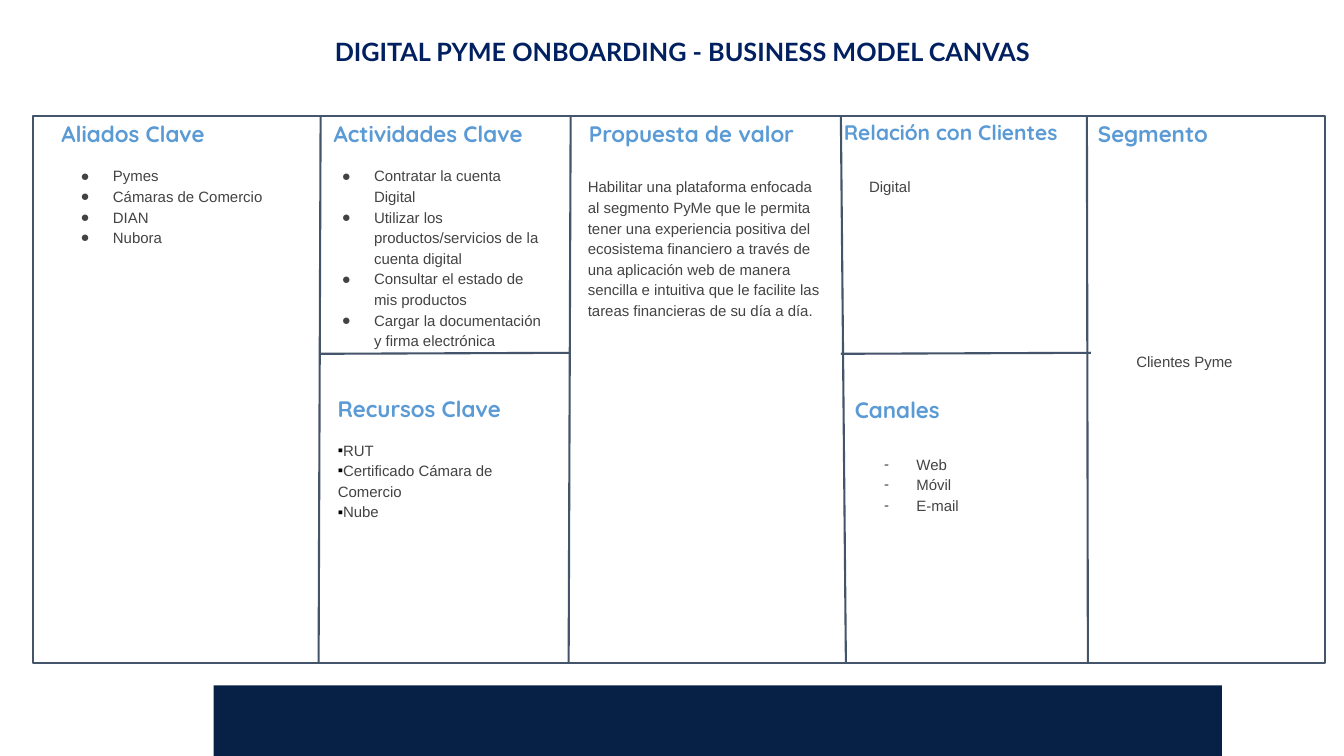
"""Build the business model canvas slide for the digital onboarding of small firms."""
from dataclasses import dataclass

from lxml.etree import SubElement
from pptx import Presentation
from pptx.dml.color import RGBColor
from pptx.enum.shapes import MSO_CONNECTOR, MSO_SHAPE
from pptx.enum.text import MSO_ANCHOR, MSO_AUTO_SIZE, PP_ALIGN
from pptx.oxml.ns import qn
from pptx.util import Inches, Pt


@dataclass(frozen=True)
class Theme:
    navy: str = "072146"
    title: str = "002060"
    heading: str = "5B9BD5"
    body: str = "434343"
    line: str = "44546A"
    black: str = "000000"
    title_font: str = "Lato"
    heading_font: str = "Quicksand"
    body_font: str = "Arial"
    title_size: float = 18
    heading_size: float = 16
    small_heading_size: float = 15
    body_size: float = 10.7
    line_width: float = 1.5
    line_spacing: float = 1.15


def write_text(p, text, *, font, size, color, bold=False, align=PP_ALIGN.LEFT, spacing=1.0):
    p.alignment = align
    p.line_spacing = spacing
    p.space_before = Pt(0)
    r = p.add_run()
    r.text = text
    r.font.name = font
    r.font.size = Pt(size)
    r.font.bold = bold
    r.font.color.rgb = RGBColor.from_string(color)


def add_bullet(p, char, color, indent, hanging):
    pPr = p._p.get_or_add_pPr()
    pPr.set("marL", str(Inches(indent)))
    pPr.set("indent", str(-Inches(hanging)))
    clr = SubElement(pPr, qn("a:buClr"))
    SubElement(clr, qn("a:srgbClr"), val=color)
    SubElement(pPr, qn("a:buFont"), typeface="Arial")
    SubElement(pPr, qn("a:buChar"), char=char)


class Canvas:
    def __init__(self, slide, theme):
        self.slide = slide
        self.theme = theme

    def place(self, sp, box, pad_x, pad_y):
        sp.left, sp.top, sp.width, sp.height = map(Inches, box)
        tf = sp.text_frame
        tf.word_wrap = True
        tf.auto_size = MSO_AUTO_SIZE.NONE
        tf.vertical_anchor = MSO_ANCHOR.TOP
        tf.margin_left = tf.margin_right = Inches(pad_x)
        tf.margin_top = tf.margin_bottom = Inches(pad_y)
        return tf

    def text_box(self, box, pad_x, pad_y):
        sp = self.slide.shapes.add_textbox(*map(Inches, box))
        return self.place(sp, box, pad_x, pad_y)

    def title(self, text, box):
        t = self.theme
        tf = self.place(self.slide.shapes.title, box, 0.1, 0.05)
        write_text(tf.paragraphs[0], text, font=t.title_font, size=t.title_size,
                   color=t.title, bold=True)

    def heading(self, text, box, size=None):
        t = self.theme
        tf = self.text_box(box, 0.13, 0.07)
        write_text(tf.paragraphs[0], text, font=t.heading_font,
                   size=size or t.heading_size, color=t.heading, bold=True)

    def body(self, p, text, align=PP_ALIGN.LEFT):
        t = self.theme
        write_text(p, text, font=t.body_font, size=t.body_size, color=t.body,
                   align=align, spacing=t.line_spacing)

    def note(self, text, box, align=PP_ALIGN.JUSTIFY):
        self.body(self.text_box(box, 0.13, 0.13).paragraphs[0], text, align)

    def bullets(self, idx, items, box, char="●", color=None, indent=0.5, hanging=0.32):
        tf = self.place(self.slide.placeholders[idx], box, 0.13, 0.13)
        for i, item in enumerate(items):
            p = tf.add_paragraph() if i else tf.paragraphs[0]
            add_bullet(p, char, color or self.theme.body, indent, hanging)
            self.body(p, item)

    def rect(self, box, fill=None, line=None):
        sp = self.slide.shapes.add_shape(MSO_SHAPE.RECTANGLE, *map(Inches, box))
        sp.shadow.inherit = False
        if fill:
            sp.fill.solid()
            sp.fill.fore_color.rgb = RGBColor.from_string(fill)
        else:
            sp.fill.background()
        if line:
            sp.line.color.rgb = RGBColor.from_string(line)
            sp.line.width = Pt(self.theme.line_width)
        else:
            sp.line.fill.background()

    def divider(self, x1, y1, x2, y2):
        ends = map(Inches, (x1, y1, x2, y2))
        cn = self.slide.shapes.add_connector(MSO_CONNECTOR.STRAIGHT, *ends)
        cn.line.color.rgb = RGBColor.from_string(self.theme.line)
        cn.line.width = Pt(self.theme.line_width)
        SubElement(cn._element.spPr, qn("a:effectLst"))


def main():
    prs = Presentation()
    prs.slide_width, prs.slide_height = Inches(13.33), Inches(7.5)
    theme = Theme()
    c = Canvas(prs.slides.add_slide(prs.slide_layouts.get_by_name("Comparison")), theme)

    c.rect((2.12, 6.8, 10, 0.7), fill=theme.navy)
    c.rect((0.33, 1.15, 12.81, 5.43), line=theme.line)
    for top_x, bottom_x in ((3.18, 3.16), (5.66, 5.64), (8.34, 8.39), (10.78, 10.79)):
        c.divider(top_x, 1.15, bottom_x, 6.58)
    for left, right in ((3.18, 5.66), (8.34, 10.82)):
        c.divider(left, 3.51, right, 3.5)

    c.title("DIGITAL PYME ONBOARDING - BUSINESS MODEL CANVAS", (3.22, 0.31, 7.8, 0.4))
    for text, x, y, width in (
        ("Aliados Clave", 0.48, 1.12, 1.93),
        ("Actividades Clave", 3.18, 1.12, 2.48),
        ("Propuesta de valor", 5.71, 1.12, 2.48),
        ("Segmento", 10.76, 1.12, 2.74),
        ("Recursos Clave", 3.22, 3.85, 2.43),
        ("Canales", 8.35, 3.86, 2.59),
    ):
        c.heading(text, (x, y, width, 0.3))
    c.heading("Relación con Clientes", (8.24, 1.12, 2.67, 0.34), theme.small_heading_size)

    c.bullets(1, ("Pymes", "Cámaras de Comercio", "DIAN", "Nubora"),
              (0.49, 1.5, 2.57, 1.52))
    c.bullets(2, ("Contratar la cuenta Digital",
                  "Utilizar los productos/servicios de la cuenta digital",
                  "Consultar el estado de mis productos",
                  "Cargar la documentación y firma electrónica"),
              (3.08, 1.5, 2.43, 1.84))
    c.bullets(3, ("RUT", "Certificado Cámara de Comercio", "Nube"),
              (3.22, 4.22, 2.28, 1.52), char="▪", color=theme.black, indent=0, hanging=0)
    c.bullets(4, ("Web", "Móvil", "E-mail"), (8.46, 4.36, 2.12, 0.7), char="-")

    c.note("Habilitar una plataforma enfocada al segmento PyMe que le permita tener una "
           "experiencia positiva del ecosistema financiero a través de una aplicación web "
           "de manera sencilla e intuitiva que le facilite las tareas financieras de su "
           "día a día.", (5.7, 1.61, 2.59, 3.75), PP_ALIGN.LEFT)
    c.note("Digital", (8.49, 1.61, 1.66, 0.4))
    c.note("Clientes Pyme", (11.14, 3.34, 1.66, 0.4))

    prs.save("out.pptx")


if __name__ == "__main__":
    main()
